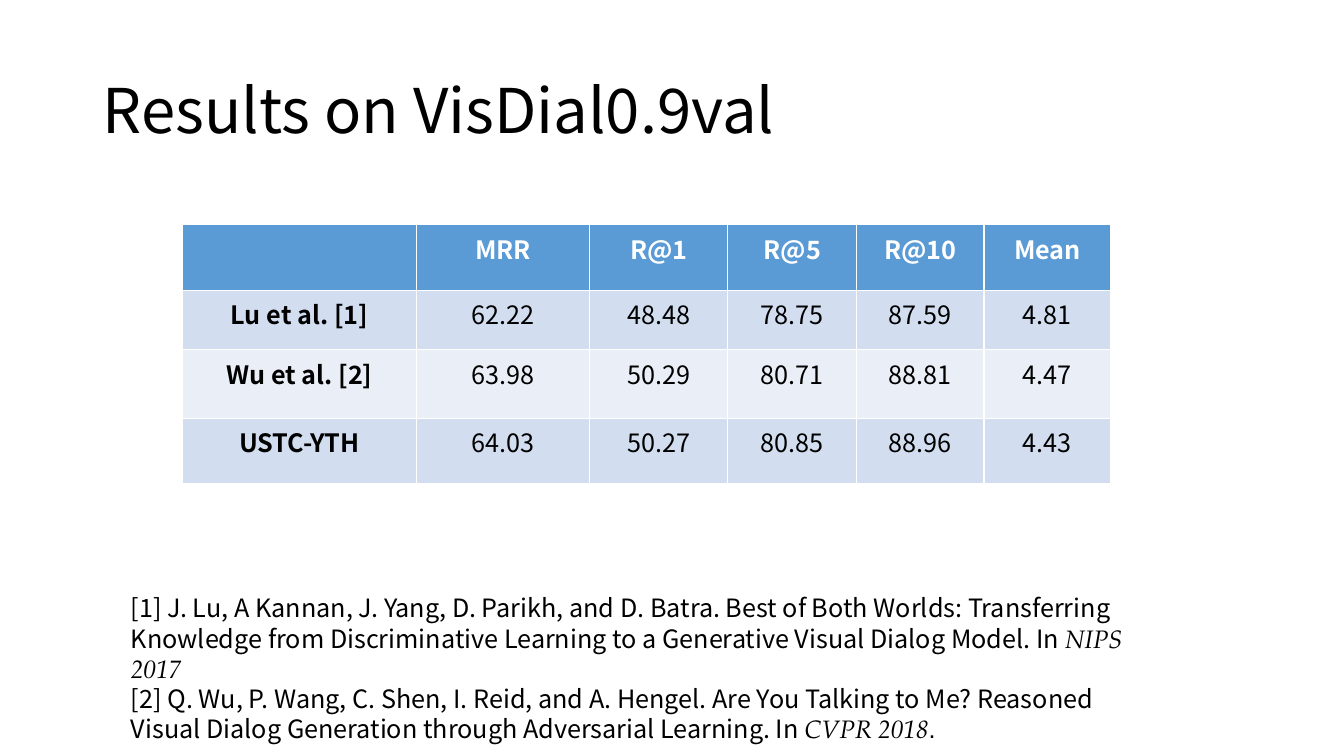
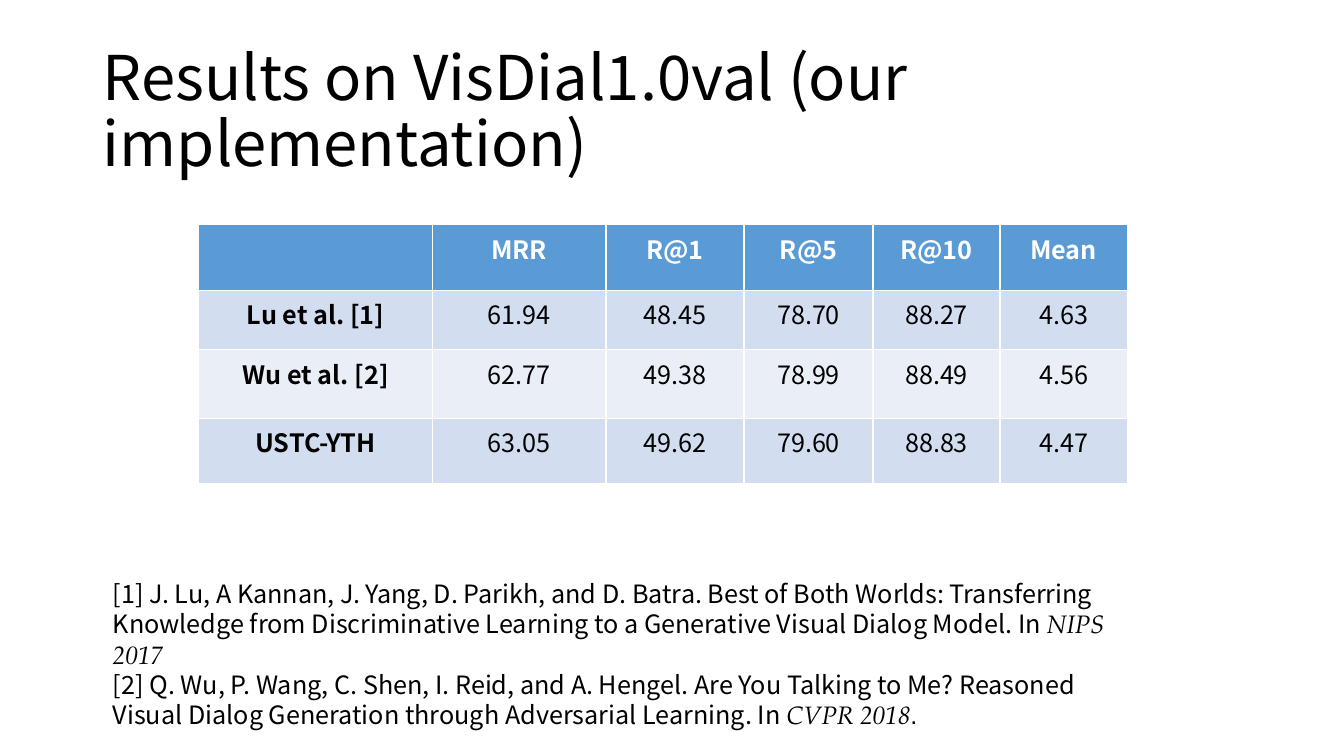
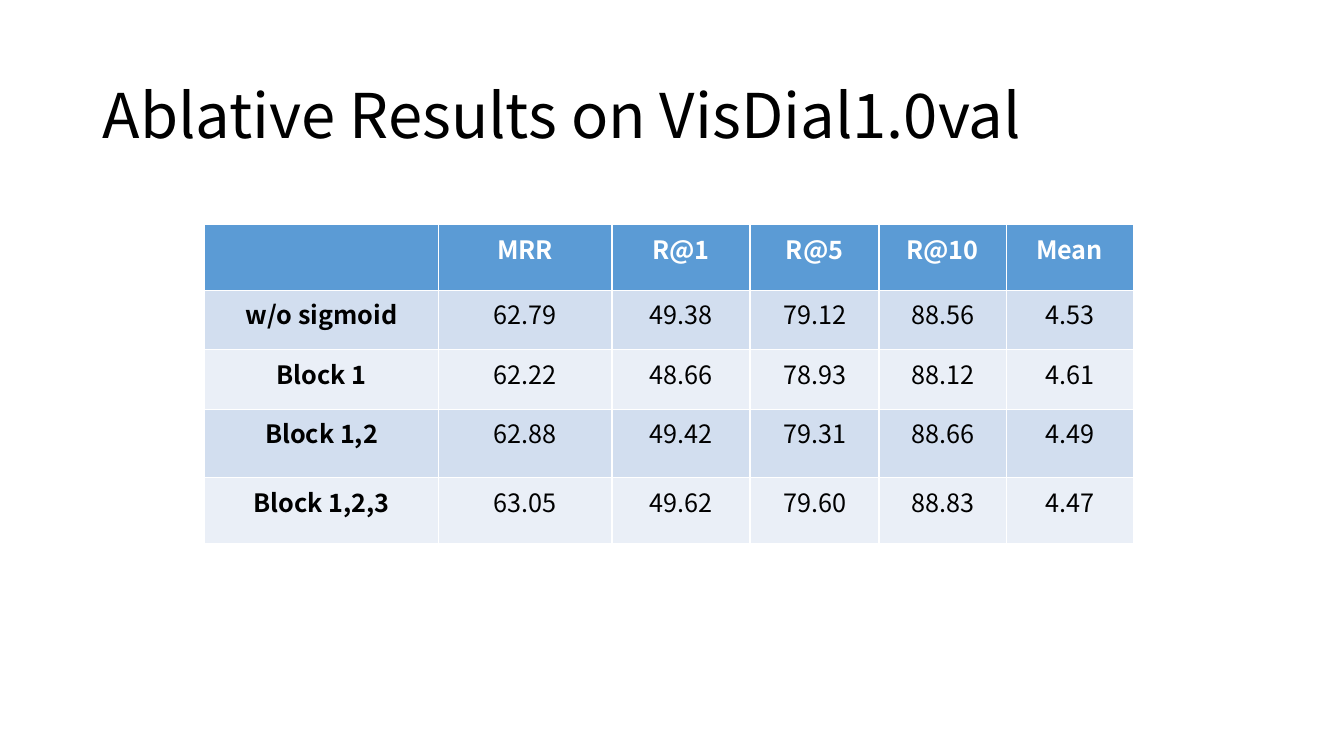
from pptx import Presentation
from pptx.dml.color import RGBColor
from pptx.enum.text import MSO_ANCHOR, MSO_AUTO_SIZE, PP_ALIGN
from pptx.util import Inches, Pt

LEFT, CENTER = PP_ALIGN.LEFT, PP_ALIGN.CENTER
MIDDLE, NO_FIT = MSO_ANCHOR.MIDDLE, MSO_AUTO_SIZE.NONE

BLACK = RGBColor(0x00, 0x00, 0x00)
WHITE = RGBColor(0xFF, 0xFF, 0xFF)
BLUE = RGBColor(0x5B, 0x9B, 0xD5)
BANDS = (RGBColor(0xD2, 0xDE, 0xEF), RGBColor(0xEA, 0xEF, 0xF7))

SANS, SERIF, PERIOD = "Noto Sans CJK SC", "TeX Gyre Pagella", "Arial"
TITLE = {"name": SANS, "size": Pt(44)}
BODY = {"name": SANS, "size": Pt(18)}
VENUE = {**BODY, "name": SERIF, "italic": True}
STOP = {**BODY, "name": PERIOD}

TITLE_ONLY = 5
COL_WIDTHS = (2.32, 1.72, 1.37, 1.28, 1.26, 1.26)
HEADER = ("", "MRR", "R@1", "R@5", "R@10", "Mean")
TABLE_TOP = 2.23

REFERENCES = (
    (("[1] J. Lu, A Kannan, J. Yang, D. Parikh, and D. Batra. Best of Both Worlds: "
      "Transferring Knowledge from Discriminative Learning to a Generative Visual "
      "Dialog Model. In ", BODY), ("NIPS 2017", VENUE)),
    (("[2] Q. Wu, P. Wang, C. Shen, I. Reid, and A. Hengel. Are You Talking to Me? "
      "Reasoned Visual Dialog Generation through Adversarial Learning. In ", BODY),
     ("CVPR 2018", VENUE), (".", STOP)),
)

SLIDES = (
    {
        "title": "Results on VisDial0.9val",
        "title_top": 0.4,
        "table_left": 1.81,
        "results": (
            ("Lu et al. [1]", "62.22", "48.48", "78.75", "87.59", "4.81"),
            ("Wu et al. [2]", "63.98", "50.29", "80.71", "88.81", "4.47"),
            ("USTC-YTH", "64.03", "50.27", "80.85", "88.96", "4.43"),
        ),
        "references_at": (1.2, 5.83, 10.43, 1.62),
    },
    {
        "title": "Results on VisDial1.0val (our implementation)",
        "title_top": 0.4,
        "table_left": 1.97,
        "results": (
            ("Lu et al. [1]", "61.94", "48.45", "78.70", "88.27", "4.63"),
            ("Wu et al. [2]", "62.77", "49.38", "78.99", "88.49", "4.56"),
            ("USTC-YTH", "63.05", "49.62", "79.60", "88.83", "4.47"),
        ),
        "references_at": (1.02, 5.69, 10.14, 1.62),
    },
    {
        "title": "Ablative Results on VisDial1.0val",
        "title_top": 0.45,
        "table_left": 2.03,
        "results": (
            ("w/o sigmoid", "62.79", "49.38", "79.12", "88.56", "4.53"),
            ("Block 1", "62.22", "48.66", "78.93", "88.12", "4.61"),
            ("Block 1,2", "62.88", "49.42", "79.31", "88.66", "4.49"),
            ("Block 1,2,3", "63.05", "49.62", "79.60", "88.83", "4.47"),
        ),
        "references_at": None,
    },
)


def add_run(p, text, style, color=BLACK):
    r = p.add_run()
    r.text = text
    for name, value in style.items():
        setattr(r.font, name, value)
    r.font.color.rgb = color


def set_title(s, text, top):
    sp = s.shapes.title
    sp.left, sp.top = Inches(0.92), Inches(top)
    sp.width, sp.height = Inches(11.5), Inches(1.45)
    tf = sp.text_frame
    tf.auto_size, tf.vertical_anchor = NO_FIT, MIDDLE
    p = tf.paragraphs[0]
    p.alignment, p.line_spacing = LEFT, 0.9
    add_run(p, text, TITLE)


def add_results(s, left, results):
    """Add a table with a blue header row, banded results and bold labels."""
    rows = (HEADER, *results)
    heights = [0.65] + [0.59] * (len(rows) - 3) + [0.68, 0.65]
    table = s.shapes.add_table(
        len(rows), len(HEADER), Inches(left), Inches(TABLE_TOP),
        Inches(sum(COL_WIDTHS)), Inches(sum(heights))).table
    for column, width in zip(table.columns, COL_WIDTHS):
        column.width = Inches(width)
    for i, (row, height) in enumerate(zip(rows, heights)):
        table.rows[i].height = Inches(height)
        is_header = i == 0
        fill = BLUE if is_header else BANDS[(i - 1) % 2]
        for j, text in enumerate(row):
            cell = table.cell(i, j)
            cell.fill.solid()
            cell.fill.fore_color.rgb = fill
            if text:
                p = cell.text_frame.paragraphs[0]
                p.alignment = CENTER
                add_run(p, text, {**BODY, "bold": is_header or j == 0},
                        WHITE if is_header else BLACK)


def add_references(s, box):
    tf = s.shapes.add_textbox(*map(Inches, box)).text_frame
    tf.word_wrap = True
    for i, reference in enumerate(REFERENCES):
        p = tf.add_paragraph() if i else tf.paragraphs[0]
        for text, style in reference:
            add_run(p, text, style)


def main():
    prs = Presentation()
    prs.slide_width, prs.slide_height = Inches(13.33), Inches(7.5)
    for content in SLIDES:
        s = prs.slides.add_slide(prs.slide_layouts[TITLE_ONLY])
        set_title(s, content["title"], content["title_top"])
        add_results(s, content["table_left"], content["results"])
        if content["references_at"]:
            add_references(s, content["references_at"])
    prs.save("out.pptx")


if __name__ == "__main__":
    main()
